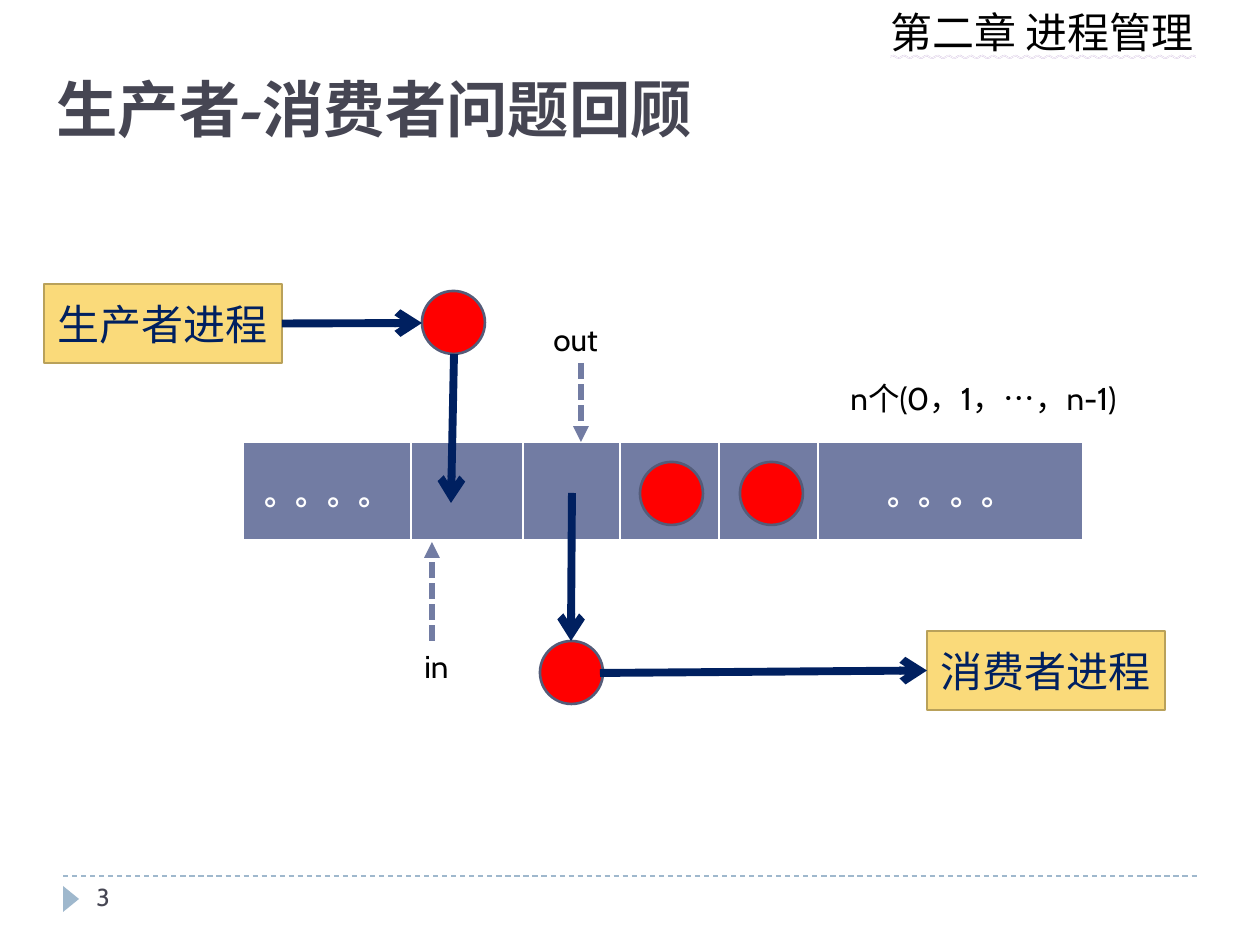
from dataclasses import dataclass

from lxml.etree import SubElement
from pptx import Presentation
from pptx.dml.color import RGBColor as RGB
from pptx.enum.dml import MSO_LINE as DASH
from pptx.enum.shapes import MSO_CONNECTOR as CONN, MSO_SHAPE as SHAPE
from pptx.enum.text import MSO_ANCHOR as ANCHOR, MSO_UNDERLINE as UNDER, PP_ALIGN as ALIGN
from pptx.oxml import parse_xml
from pptx.oxml.ns import nsdecls, qn
from pptx.util import Inches, Pt

PX = Inches(1) / 126
LEFT, RIGHT = 1, 3


def px(*values):
    return [round(v * PX) for v in values]


@dataclass(frozen=True)
class Theme:
    font: str = "Cabin"
    title_font: str = "TeX Gyre Bonum"
    east_font: str = "Noto Sans CJK SC"
    ink: str = "000000"
    heading: str = "464653"
    white: str = "FFFFFF"
    buffer: str = "727CA3"
    item: str = "FF0000"
    item_edge: str = "545C79"
    process: str = "FADA7A"
    process_edge: str = "B9A15A"
    flow: str = "002060"
    accent: str = "9FB8CD"
    wave: str = "B292CA"
    title_size: float = 35.1
    large: int = 24
    normal: int = 18
    small: int = 14


def add_text(tf, text, size, color, font, east, bold=False, align=ALIGN.LEFT, wave=None):
    p = tf.paragraphs[0]
    p.alignment = align
    r = p.add_run()
    r.text = text
    f = r.font
    f.size, f.bold, f.name = Pt(size), bold, font
    f.color.rgb = RGB.from_string(color)
    rpr = r._r.get_or_add_rPr()
    SubElement(rpr, qn("a:ea")).set("typeface", east)
    if wave:
        f.underline = UNDER.WAVY_DOUBLE_LINE
        rpr.find(qn("a:latin")).addprevious(parse_xml(
            f'<a:uFill {nsdecls("a")}><a:solidFill><a:srgbClr val="{wave}"/>'
            "</a:solidFill></a:uFill>"))
    return p


class Builder:
    def __init__(self, slide, theme):
        self.s, self.t = slide, theme

    def put(self, tf, text, size, color, **kw):
        font = kw.pop("font", self.t.font)
        return add_text(tf, text, size, color, font, self.t.east_font, **kw)

    def title(self, text, *box):
        sp = self.s.shapes.title
        sp.left, sp.top, sp.width, sp.height = px(*box)
        tf = sp.text_frame
        tf.vertical_anchor, tf.margin_top = ANCHOR.TOP, 0
        p = self.put(tf, text, self.t.title_size, self.t.heading,
                     font=self.t.title_font, bold=True)
        p.line_spacing = 0.95

    def text(self, text, *box, size=None, color=None, wrap=False, wave=None):
        tf = self.s.shapes.add_textbox(*px(*box)).text_frame
        tf.word_wrap = wrap
        self.put(tf, text, size or self.t.normal, color or self.t.ink, wave=wave)

    def shape(self, kind, *box, fill, edge=None):
        sp = self.s.shapes.add_shape(kind, *px(*box))
        sp.shadow.inherit = False
        sp.fill.solid()
        sp.fill.fore_color.rgb = RGB.from_string(fill)
        if edge:
            sp.line.color.rgb = RGB.from_string(edge)
            sp.line.width = Pt(1.5)
        else:
            sp.line.fill.background()
        return sp

    def item(self, x, y):
        return self.shape(SHAPE.FLOWCHART_CONNECTOR, x, y, 63, 63,
                          fill=self.t.item, edge=self.t.item_edge)

    def process(self, text, x, y):
        sp = self.shape(SHAPE.RECTANGLE, x, y, 238, 79,
                        fill=self.t.process, edge=self.t.process_edge)
        tf = sp.text_frame
        tf.word_wrap, tf.vertical_anchor = True, ANCHOR.MIDDLE
        self.put(tf, text, self.t.large, self.t.flow, align=ALIGN.CENTER)
        return sp

    def line(self, *ends, color, width, dash=None, tail=None):
        c = self.s.shapes.add_connector(CONN.STRAIGHT, *px(*ends))
        c.line.color.rgb = RGB.from_string(color)
        c.line.width = Pt(width)
        if dash:
            c.line.dash_style = dash
        sppr = c._element.spPr
        if tail:
            SubElement(sppr.find(qn("a:ln")), qn("a:tailEnd")).set("type", tail)
        SubElement(sppr, qn("a:effectLst"))
        return c

    def flow(self, *ends):
        return self.line(*ends, color=self.t.flow, width=4.5, tail="arrow")

    def pointer(self, *ends):
        self.line(*ends, color=self.t.buffer, width=3, dash=DASH.SQUARE_DOT, tail="triangle")

    def buffer(self, x, y, height, widths, labels):
        frame = self.s.shapes.add_table(1, len(widths), *px(x, y, sum(widths), height))
        table = frame.table
        for i, width in enumerate(widths):
            table.columns[i].width = px(width)[0]
            cell = table.cell(0, i)
            cell.vertical_anchor = ANCHOR.MIDDLE
            if i in labels:
                self.put(cell.text_frame, labels[i], self.t.normal, self.t.white,
                         bold=True, align=ALIGN.CENTER)
            tcpr = cell._tc.get_or_add_tcPr()
            for side, weight in (("L", 1), ("R", 1), ("T", 1), ("B", 3)):
                tcpr.append(parse_xml(
                    f'<a:ln{side} {nsdecls("a")} w="{Pt(weight)}"><a:solidFill>'
                    f'<a:srgbClr val="{self.t.white}"/></a:solidFill></a:ln{side}>'))
            cell.fill.solid()
            cell.fill.fore_color.rgb = RGB.from_string(self.t.buffer)


def main():
    prs = Presentation()
    prs.slide_width, prs.slide_height = Inches(10), Inches(7.5)
    t = Theme()
    b = Builder(prs.slides.add_slide(prs.slide_layouts[5]), t)

    b.line(63, 876, 1197, 876, color=t.accent, width=0.75, dash=DASH.DASH)
    b.shape(SHAPE.ISOSCELES_TRIANGLE, 58, 891, 26, 16, fill=t.accent).rotation = 90
    b.text("第二章 进程管理", 878, 0, 335, 63, size=t.large, wave=t.wave)
    b.text("3", 84, 876, 273, 50, size=t.small, color=t.heading, wrap=True)
    b.title("生产者-消费者问题回顾", 44, 76, 1164, 139)

    b.buffer(243, 442, 99, [168, 112, 97, 99, 99, 265], {0: "。。。。", 5: "。。。。"})
    for x, y in ((740, 462), (640, 462), (540, 641), (422, 291)):
        b.item(x, y)

    producer = b.process("生产者进程", 44, 284)
    consumer = b.process("消费者进程", 927, 631)
    b.flow(454, 354, 451, 503)
    b.flow(572, 493, 571, 641)
    b.flow(282, 324, 422, 323).begin_connect(producer, RIGHT)
    b.flow(600, 673, 927, 670).end_connect(consumer, LEFT)

    b.text("n个(0，1，…，n-1)", 838, 373, 309, 50, wrap=True)
    b.pointer(432, 641, 432, 542)
    b.text("in", 412, 641, 53, 50)
    b.pointer(581, 363, 581, 442)
    b.text("out", 541, 314, 77, 50)

    prs.save("out.pptx")


if __name__ == "__main__":
    main()
